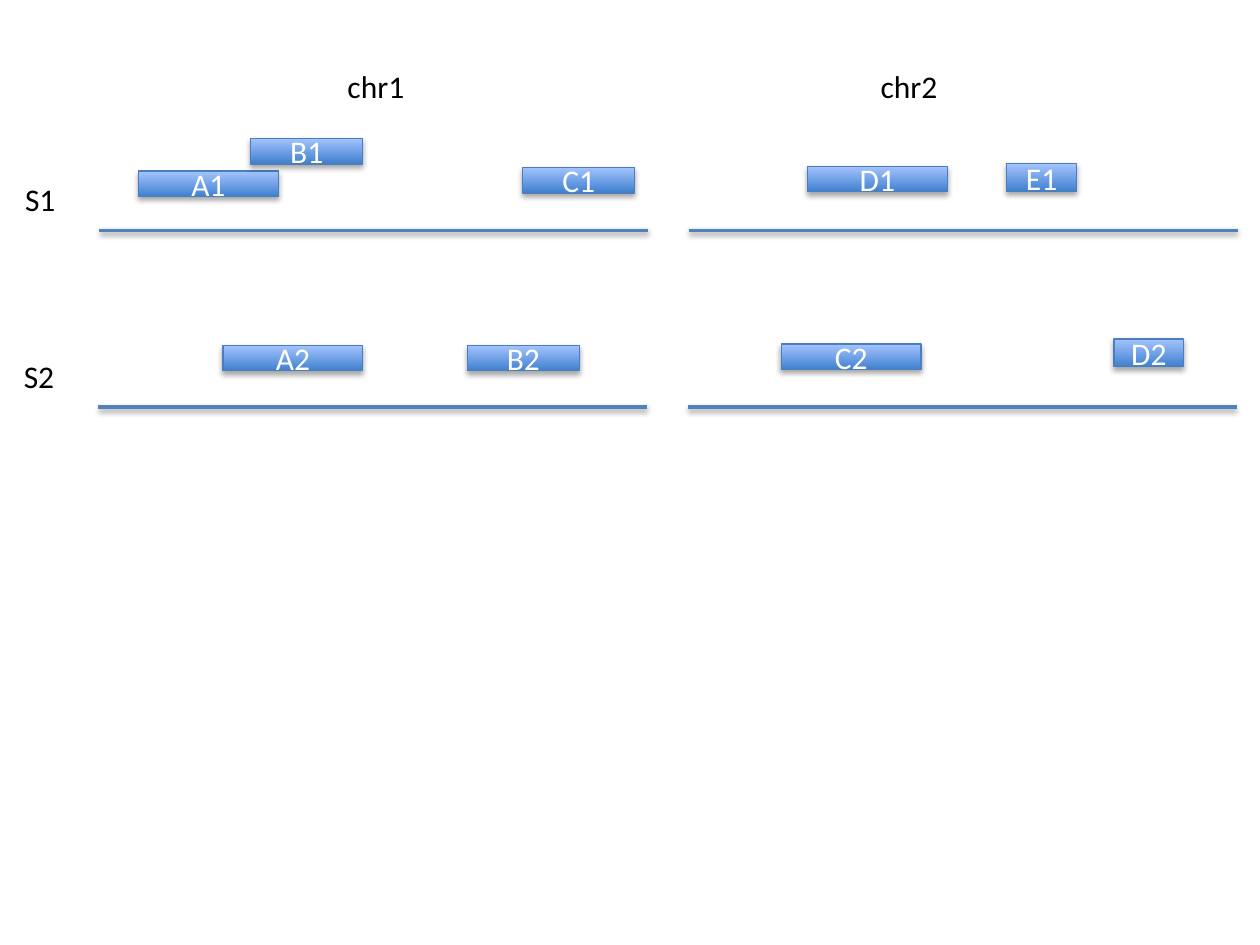
from lxml import etree
from pptx import Presentation
from pptx.dml.color import RGBColor
from pptx.enum.shapes import MSO_CONNECTOR as Connector, MSO_SHAPE as Shape
from pptx.enum.text import MSO_ANCHOR as Anchor, MSO_AUTO_SIZE as AutoSize, PP_ALIGN as Align
from pptx.oxml.ns import qn
from pptx.util import Pt

LABEL_HEIGHT = 29.08
TRACK_WIDTH = 313.4
TRACK_STEP = 337
CHROMOSOMES = {"chr1": 191.5, "chr2": 496.1}
# Gene: name, offset from the row's left end, rise above its line, width, height
ROWS = [
    ("S1", 7.2, 56.8, 131.7, [
        ("A1", 22.3, 33.9, 80, 14.6),
        ("C1", 241.9, 36, 64, 14.6),
        ("D1", 404.6, 36.7, 80, 14.6),
        ("E1", 518.4, 38.2, 40, 16),
    ]),
    ("S2", 6.5, 56.2, 232.6, [
        ("A2", 71.2, 35.3, 80, 14.6),
        ("B2", 210.9, 35.3, 64, 14.6),
        ("C2", 390.2, 36, 80, 14.6),
        ("D2", 580.3, 38.9, 40, 16),
    ]),
]
UPPER_GENE = ("B1", 86.5, 52.6, 64, 14.6)


def color(value):
    """Turn a hex string into a colour."""
    return RGBColor.from_string(value)


def set_all(target, values):
    """Set attributes from a dict."""
    for name, value in values.items():
        setattr(target, name, value)


def add_shadow(item, distance, opacity):
    """Give a shape or line a soft shadow straight below it."""
    properties = item._element.spPr
    for old in properties.findall(qn("a:effectLst")):
        properties.remove(old)
    effects = etree.SubElement(properties, qn("a:effectLst"))
    shadow = etree.SubElement(effects, qn("a:outerShdw"), {
        "blurRad": "40000", "dist": str(distance), "dir": "5400000", "rotWithShape": "0"})
    black = etree.SubElement(shadow, qn("a:srgbClr"), val="000000")
    etree.SubElement(black, qn("a:alpha"), val=str(opacity * 1000))


def write(item, text, ink, align):
    """Write one line of text in a shape."""
    para = item.text_frame.paragraphs[0]
    para.alignment = align
    span = para.add_run()
    span.text = text
    set_all(span.font, {"name": "Calibri", "size": Pt(18)})
    span.font.color.rgb = color(ink)


def add_label(page, text, left, top, width):
    """Place a plain label."""
    box = page.shapes.add_textbox(Pt(left), Pt(top), Pt(width), Pt(LABEL_HEIGHT))
    set_all(box.text_frame, {"word_wrap": False, "auto_size": AutoSize.SHAPE_TO_FIT_TEXT})
    write(box, text, "000000", Align.LEFT)


def add_track(shapes, left, line_y):
    """Draw one chromosome line."""
    track = shapes.add_connector(
        Connector.STRAIGHT, Pt(left), Pt(line_y), Pt(left + TRACK_WIDTH), Pt(line_y))
    track.line.width = Pt(2)
    track.line.color.rgb = color("4F81BD")
    add_shadow(track, 20000, 38)


def add_gene(shapes, left, line_y, gene):
    """Draw one gene above its row's line."""
    name, offset, rise, width, height = gene
    block = shapes.add_shape(
        Shape.RECTANGLE, Pt(left + offset), Pt(line_y - rise), Pt(width), Pt(height))
    block.fill.gradient()
    block.fill.gradient_angle = 90
    for stop, shade in zip(block.fill.gradient_stops, ("3F80CE", "A4C4FF")):
        stop.color.rgb = color(shade)
    block.line.width = Pt(0.75)
    block.line.color.rgb = color("4B7EBC")
    add_shadow(block, 23000, 35)
    set_all(block.text_frame, {"vertical_anchor": Anchor.MIDDLE, "word_wrap": True})
    write(block, name, "FFFFFF", Align.CENTER)


def add_row(page, name, label_left, left, line_y, genes):
    """Draw one sample: a group of lines and genes, and its label."""
    group = page.shapes.add_group_shape()
    for index in range(len(CHROMOSOMES)):
        add_track(group.shapes, left + index * TRACK_STEP, line_y)
    for gene in genes:
        add_gene(group.shapes, left, line_y, gene)
    add_label(page, name, label_left, line_y - 32.3, 32.4)


def main():
    """Build the slide and save it."""
    deck = Presentation()
    set_all(deck, {"slide_width": Pt(720), "slide_height": Pt(540)})
    page = deck.slides.add_slide(deck.slide_layouts[6])
    for name, left in CHROMOSOMES.items():
        add_label(page, name, left, 34.6, 47.5)
    for row in ROWS:
        add_row(page, *row)
    _, _, left, line_y, _ = ROWS[0]
    add_gene(page.shapes, left, line_y, UPPER_GENE)
    deck.save("out.pptx")


main()
